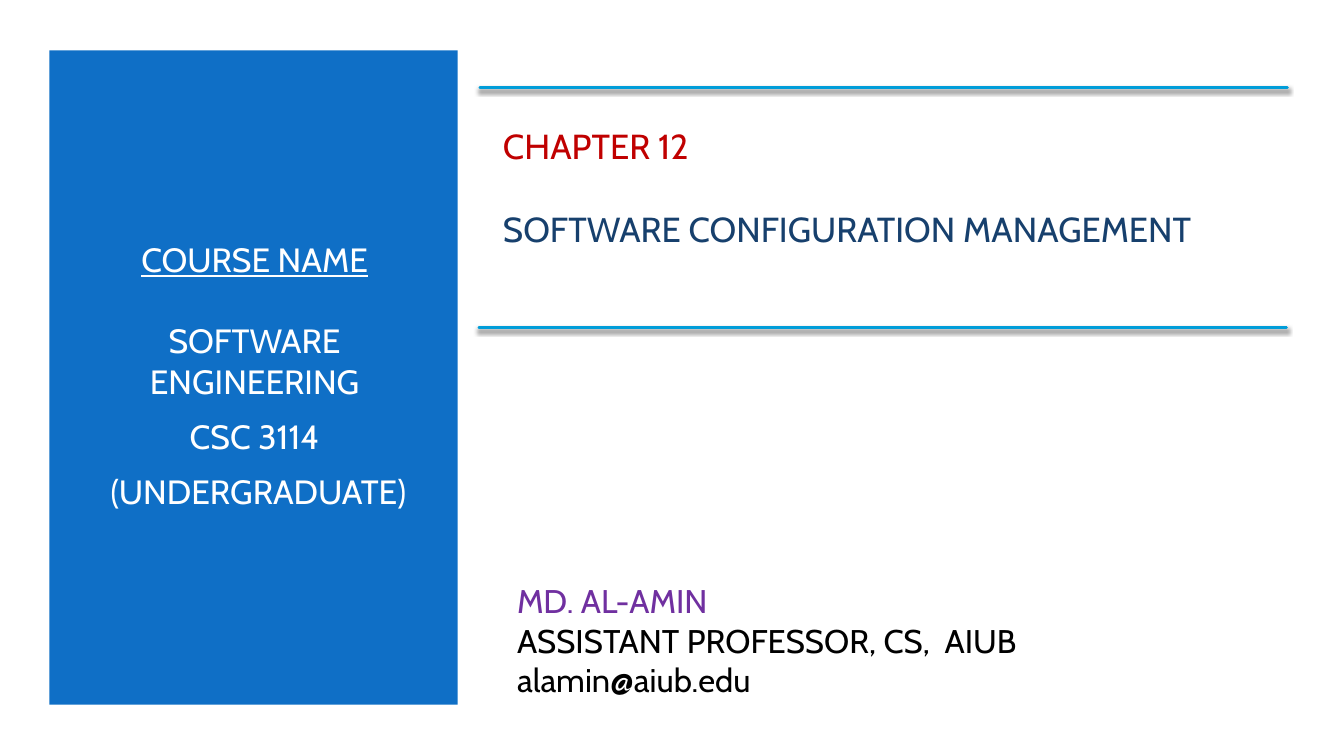
"""Build the title slide of a software engineering chapter."""
from lxml import etree
from pptx import Presentation
from pptx.dml.color import RGBColor
from pptx.enum.shapes import MSO_CONNECTOR as Connector, MSO_SHAPE as Shape
from pptx.enum.text import MSO_ANCHOR as Anchor, PP_ALIGN as Align
from pptx.oxml import parse_xml
from pptx.oxml.ns import nsdecls
from pptx.util import Inches, Pt


def color(value):
    return RGBColor.from_string(value)


def add_text(place, size, align, lines):
    box = slide.shapes.add_textbox(*map(Inches, place))
    frame = box.text_frame
    frame.word_wrap = True
    frame.vertical_anchor = Anchor.MIDDLE
    for index, (text, ink, underline, before, after) in enumerate(lines):
        para = frame.paragraphs[0] if index == 0 else frame.add_paragraph()
        layout = {"alignment": align, "space_before": Pt(before), "space_after": Pt(after)}
        for name, value in layout.items():
            setattr(para, name, value)
        span = para.add_run()
        span.text = text
        style = {"name": "Cabin", "size": Pt(size), "underline": underline}
        for name, value in style.items():
            setattr(span.font, name, value)
        span.font.color.rgb = color(ink)


deck = Presentation()
deck.slide_width, deck.slide_height = Inches(13.33), Inches(7.5)
slide = deck.slides.add_slide(deck.slide_layouts[6])

panel = slide.shapes.add_shape(
    Shape.RECTANGLE, Inches(0.49), Inches(0.5), Inches(4.05), Inches(6.49))
panel.shadow.inherit = False
panel.fill.solid()
panel.fill.fore_color.rgb = color("0F6FC6")
panel.line.fill.background()

add_text((0.84, 1.1, 3.37, 5.25), 24, Align.CENTER, [
    ("COURSE NAME", "FFFFFF", True, 4.8, 29),
    ("SOFTWARE ENGINEERING", "FFFFFF", False, 0, 6),
    ("CSC 3114", "FFFFFF", False, 4.8, 6),
    (" (UNDERGRADUATE)", "FFFFFF", False, 4.8, 6),
])
add_text((4.89, 1.1, 7.85, 1.51), 24.8, Align.LEFT, [
    ("CHAPTER 12", "C00000", False, 0, 29.5),
    ("SOFTWARE CONFIGURATION MANAGEMENT", "17406D", False, 0, 0),
])

for left, top in [(4.76, 0.87), (4.75, 3.25)]:
    rule = slide.shapes.add_connector(
        Connector.STRAIGHT, Inches(left), Inches(top), Inches(left + 8.01), Inches(top))
    rule.line.color.rgb = color("009DD9")
    rule.line.width = Pt(2)
    rule.line._get_or_add_ln().set("cap", "rnd")
    shadow = parse_xml(f"<a:effectLst {nsdecls('a')}/>")
    outer = etree.SubElement(
        shadow, shadow.tag.replace("effectLst", "outerShdw"),
        blurRad=str(Pt(3)), dist=str(Pt(2)), dir="5400000", rotWithShape="0")
    ink = etree.SubElement(outer, shadow.tag.replace("effectLst", "srgbClr"), val="000000")
    etree.SubElement(ink, shadow.tag.replace("effectLst", "alpha"), val="55000")
    rule._element.spPr.append(shadow)

add_text((5.03, 5.57, 6.66, 1.56), 23.4, Align.LEFT, [
    ("MD. AL-AMIN", "7030A0", False, 0, 0),
    ("ASSISTANT PROFESSOR, CS,  AIUB", "000000", False, 0, 0),
    ("alamin@aiub.edu", "000000", False, 0, 0),
])

deck.save("out.pptx")
